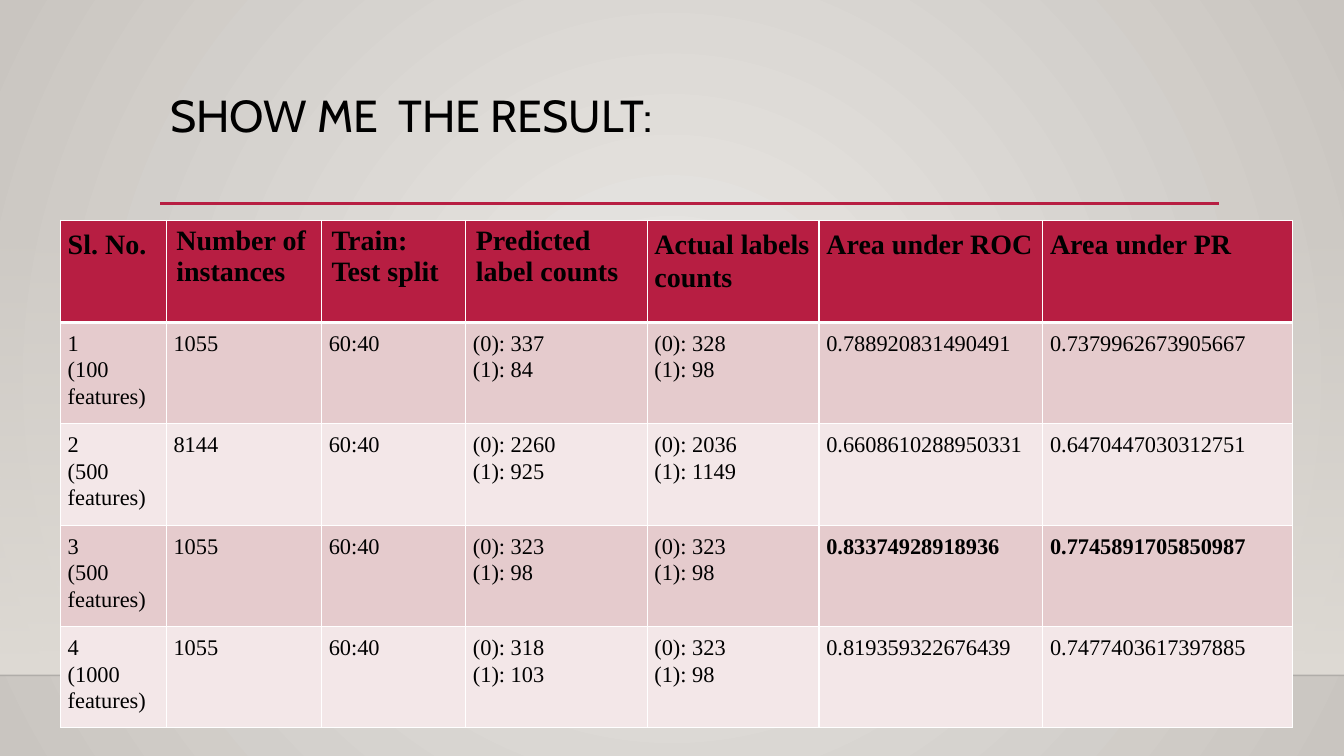
from dataclasses import dataclass

from lxml import etree
from pptx import Presentation
from pptx.dml.color import RGBColor
from pptx.enum.shapes import MSO_CONNECTOR, MSO_SHAPE
from pptx.enum.text import MSO_ANCHOR, PP_ALIGN
from pptx.oxml.ns import qn
from pptx.util import Pt

STRAIGHT = MSO_CONNECTOR.STRAIGHT
RECTANGLE = MSO_SHAPE.RECTANGLE
TOP = MSO_ANCHOR.TOP
LEFT = PP_ALIGN.LEFT

PAGE_WIDTH, PAGE_HEIGHT = 960, 540
FLOOR_TOP = 482.4


@dataclass(frozen=True)
class Theme:
    accent: str = "B71E42"
    text: str = "000000"
    border: str = "FFFFFF"
    bands: tuple[str, str] = ("E5CBCD", "F3E7E8")
    glow: tuple[str, str] = ("EBE9E6", "C9C5C0")
    wall: str = "DFDBD5"
    floor_line: str = "000001"
    title_font: str = "Cabin"
    table_font: str = "Times New Roman"
    title_size: float = 32
    header_size: float = 20
    body_size: float = 16


THEME = Theme()


@dataclass(frozen=True)
class Column:
    heading: str
    width: float
    tight_heading: bool = False


@dataclass(frozen=True)
class Result:
    features: int
    instances: int
    predicted: tuple[int, int]
    actual: tuple[int, int]
    roc: str
    pr: str
    best: bool = False


@dataclass(frozen=True)
class Rule:
    start: float
    end: float
    y: float
    color: str
    weight: float
    opacity: int = 100


COLUMNS = [
    Column("Sl. No.", 75.6),
    Column("Number of instances", 110.9, True),
    Column("Train: Test split", 103, True),
    Column("Predicted label counts", 129.6, True),
    Column("Actual labels counts", 122.8),
    Column("Area under ROC", 159.8),
    Column("Area under PR", 178.2),
]
RESULTS = [
    Result(100, 1055, (337, 84), (328, 98), "0.788920831490491", "0.7379962673905667"),
    Result(500, 8144, (2260, 925), (2036, 1149), "0.6608610288950331", "0.6470447030312751"),
    Result(500, 1055, (323, 98), (323, 98), "0.83374928918936", "0.7745891705850987", True),
    Result(1000, 1055, (318, 103), (323, 98), "0.819359322676439", "0.7477403617397885"),
]
SPLIT = "60:40"
TABLE_LEFT, TABLE_TOP = 43.2, 157.3
HEADER_HEIGHT, ROW_HEIGHT = 73, 72.4
RULES = [
    Rule(0, PAGE_WIDTH, FLOOR_TOP, THEME.floor_line, 1, 20),
    Rule(114.5, 871, 145.4, THEME.accent, 2.5),
]


def rgb(value: str) -> RGBColor:
    return RGBColor.from_string(value)


def set_opacity(color_element, percent: int) -> None:
    etree.SubElement(color_element, qn("a:alpha"), val=str(percent * 1000))


def set_gradient(fill, colors: tuple[str, str]) -> None:
    fill.gradient()
    for stop, color in zip(fill.gradient_stops, colors):
        stop.color.rgb = rgb(color)


def add_background(page) -> None:
    """Fill the page with a glow from its centre, then lay the fading wall over it."""
    set_gradient(page.background.fill, THEME.glow)
    gradient = page._element.find(f".//{qn('a:gradFill')}")
    gradient.remove(gradient.find(qn("a:lin")))
    circle = etree.SubElement(gradient, qn("a:path"), path="circle")
    etree.SubElement(circle, qn("a:fillToRect"), l="50000", t="50000", r="50000", b="50000")

    wall = page.shapes.add_shape(RECTANGLE, 0, Pt(159.1), Pt(PAGE_WIDTH), Pt(FLOOR_TOP - 159.1))
    wall.shadow.inherit = False
    wall.line.fill.background()
    set_gradient(wall.fill, (THEME.wall, THEME.wall))
    wall.fill.gradient_angle = 270
    set_opacity(wall._element.find(f".//{qn('a:srgbClr')}"), 0)


def add_rule(page, rule: Rule) -> None:
    line = page.shapes.add_connector(STRAIGHT, Pt(rule.start), Pt(rule.y), Pt(rule.end), Pt(rule.y))
    line.line.color.rgb = rgb(rule.color)
    line.line.width = Pt(rule.weight)
    if rule.opacity < 100:
        set_opacity(line._element.find(f".//{qn('a:srgbClr')}"), rule.opacity)
    etree.SubElement(line._element.spPr, qn("a:effectLst"))


def write_text(frame, text: str, *, font: str, size: float, bold: bool = False,
               spacing: float = 1.0) -> None:
    """Write each line of the text as a paragraph of its own."""
    frame.word_wrap = True
    for index, content in enumerate(text.split("\n")):
        para = frame.paragraphs[0] if index == 0 else frame.add_paragraph()
        para.alignment = LEFT
        para.line_spacing = spacing
        span = para.add_run()
        span.text = content
        span.font.name = font
        span.font.size = Pt(size)
        span.font.bold = bold
        span.font.color.rgb = rgb(THEME.text)


def add_title(page, text: str) -> None:
    box = page.shapes.add_textbox(Pt(114.5), Pt(63.4), Pt(756), Pt(82.8))
    box.text_frame.vertical_anchor = TOP
    write_text(box.text_frame, text, font=THEME.title_font, size=THEME.title_size, spacing=0.9)


def set_borders(cell, top: float, bottom: float) -> None:
    properties = cell._tc.get_or_add_tcPr()
    for side, weight in (("L", 1), ("R", 1), ("T", top), ("B", bottom)):
        line = etree.SubElement(properties, qn(f"a:ln{side}"), w=str(Pt(weight)))
        fill = etree.SubElement(line, qn("a:solidFill"))
        etree.SubElement(fill, qn("a:srgbClr"), val=THEME.border)


def format_cell(cell, fill: str, *, tight: bool = False, top: float = 1, bottom: float = 1) -> None:
    set_borders(cell, top, bottom)
    cell.fill.solid()
    cell.fill.fore_color.rgb = rgb(fill)
    cell.vertical_anchor = TOP
    cell.margin_left = cell.margin_right = Pt(7.2 if tight else 5.2)
    cell.margin_top = cell.margin_bottom = Pt(3.6 if tight else 5.2)


def label_counts(counts: tuple[int, int]) -> str:
    return "\n".join(f"({label}): {count}" for label, count in enumerate(counts))


def add_results_table(page) -> None:
    heights = [HEADER_HEIGHT] + [ROW_HEIGHT] * len(RESULTS)
    width = sum(column.width for column in COLUMNS)
    table = page.shapes.add_table(len(heights), len(COLUMNS), Pt(TABLE_LEFT), Pt(TABLE_TOP),
                                  Pt(width), Pt(sum(heights))).table
    table.first_row = table.horz_banding = False
    for row, height in zip(table.rows, heights):
        row.height = Pt(height)

    for index, column in enumerate(COLUMNS):
        table.columns[index].width = Pt(column.width)
        cell = table.cell(0, index)
        format_cell(cell, THEME.accent, tight=column.tight_heading, bottom=3)
        write_text(cell.text_frame, column.heading, font=THEME.table_font, size=THEME.header_size,
                   bold=True, spacing=1.0 if column.tight_heading else 1.07)

    for number, result in enumerate(RESULTS, start=1):
        scores = (result.roc, result.pr)
        texts = (f"{number}\n({result.features} features)", str(result.instances), SPLIT,
                 label_counts(result.predicted), label_counts(result.actual), *scores)
        for index, text in enumerate(texts):
            cell = table.cell(number, index)
            format_cell(cell, THEME.bands[(number - 1) % 2], top=3 if number == 1 else 1)
            write_text(cell.text_frame, text, font=THEME.table_font, size=THEME.body_size,
                       bold=result.best and text in scores, spacing=1.07)


def main() -> None:
    deck = Presentation()
    deck.slide_width, deck.slide_height = Pt(PAGE_WIDTH), Pt(PAGE_HEIGHT)
    page = deck.slides.add_slide(deck.slide_layouts[6])
    add_background(page)
    for rule in RULES:
        add_rule(page, rule)
    add_title(page, "SHOW ME  THE RESULT:")
    add_results_table(page)
    deck.save("out.pptx")


if __name__ == "__main__":
    main()
